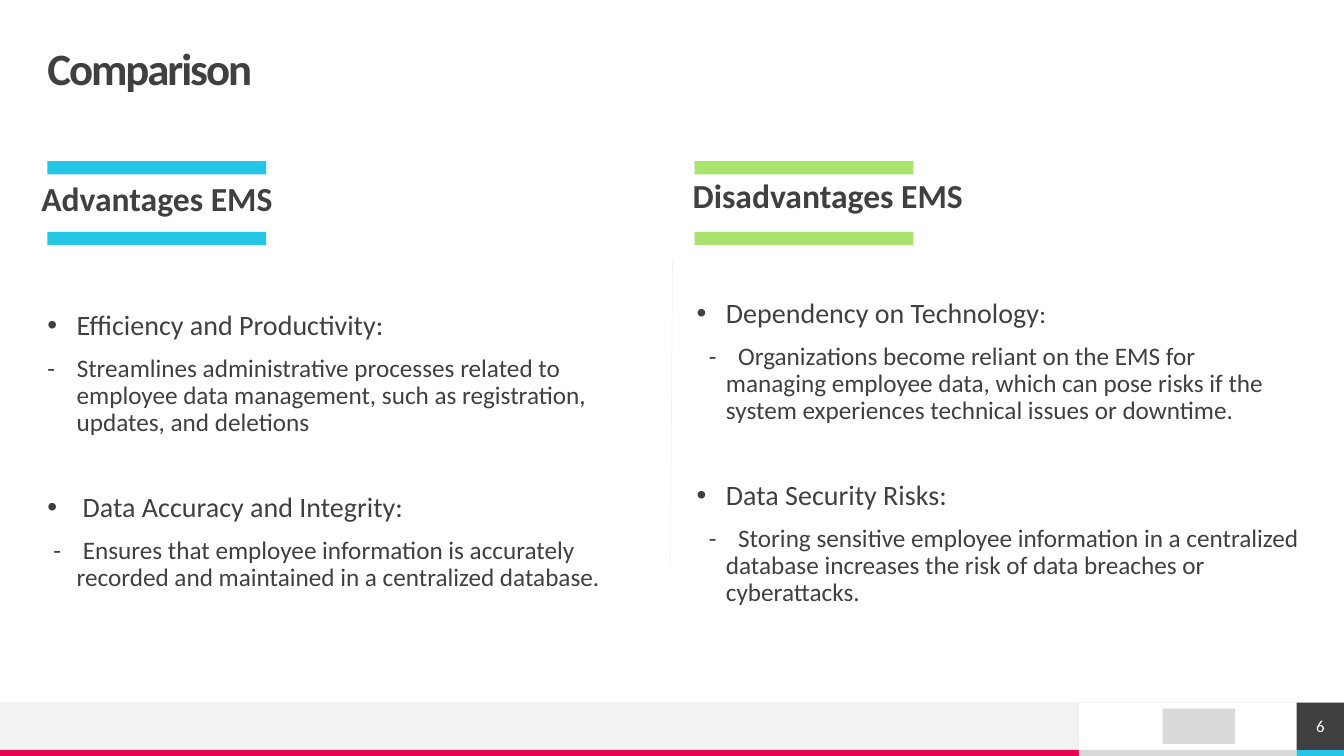
from pptx import Presentation, util as u
from pptx.dml.color import RGBColor
from pptx.enum import shapes, text
from pptx.oxml import parse_xml
from pptx.oxml.ns import nsdecls

CYAN = RGBColor(0x25, 0xC6, 0xE3)
GREEN = RGBColor(0xA9, 0xE2, 0x6F)
PINK = RGBColor(0xE8, 0x05, 0x54)
DARK = RGBColor(0x40, 0x40, 0x40)
PALE = RGBColor(0xF2, 0xF2, 0xF2)
GREY = RGBColor(0xDA, 0xDA, 0xDA)
WHITE = RGBColor(0xFF, 0xFF, 0xFF)

WIDTH, HEIGHT = 13.33, 7.5
MARGIN = 0.47
COLUMN_W = 5.98
INDENT = 0.29
DASH_SPACING = 5.7

# Each point: heading runs (text, size), space before, heading start,
# then its detail and where the dash starts
ADVANTAGES = [
    ([("Efficiency and Productivity:", 20)], 0, 0.29,
     "Streamlines administrative processes related to employee data management, "
     "such as registration, updates, and deletions", 0),
    ([("Data Accuracy and Integrity:", 20)], 40, 0.35,
     "Ensures that employee information is accurately recorded and maintained "
     "in a centralized database.", 0.06),
]
DISADVANTAGES = [
    ([("Dependency on Technology", 20), (":", 18)], 0, 0.29,
     "Organizations become reliant on the EMS for managing employee data, "
     "which can pose risks if the system experiences technical issues or downtime.",
     0.12),
    ([("Data Security Risks:", 20)], 40, 0.29,
     "Storing sensitive employee information in a centralized database increases "
     "the risk of data breaches or cyberattacks.", 0.12),
]


def add_bar(s, x, y, w, h, color):
    sp = s.shapes.add_shape(shapes.MSO_SHAPE.RECTANGLE, *map(u.Inches, (x, y, w, h)))
    sp.shadow.inherit = False
    sp.fill.solid()
    sp.fill.fore_color.rgb = color
    sp.line.fill.background()
    return sp


def add_hairline(s, x1, y1, x2, y2):
    line = s.shapes.add_connector(shapes.MSO_CONNECTOR.STRAIGHT,
                                  *map(u.Inches, (x1, y1, x2, y2)))
    line.line.color.rgb = PALE
    line.line.width = u.Pt(0.5)
    line._element.spPr.append(parse_xml(f"<a:effectLst {nsdecls('a')}/>"))


def set_frame(sp, anchor):
    tf = sp.text_frame
    tf.word_wrap = True
    tf.vertical_anchor = anchor
    tf.margin_left = tf.margin_top = tf.margin_right = tf.margin_bottom = 0
    return tf


def add_text(s, x, y, w, h, anchor=text.MSO_ANCHOR.TOP):
    return set_frame(s.shapes.add_textbox(*map(u.Inches, (x, y, w, h))), anchor)


def add_run(p, words, size, color=DARK, bold=False, spacing=0):
    r = p.add_run()
    r.text = words
    r.font.name = "Calibri"
    r.font.size = u.Pt(size)
    r.font.bold = bold
    r.font.color.rgb = color
    if spacing:
        r._r.get_or_add_rPr().set("spc", str(round(spacing * 100)))


def set_indent(p, first, rest, bullet=False):
    """Start the first line at `first` and the following lines at `rest`."""
    pPr = p._p.get_or_add_pPr()
    pPr.set("marL", str(u.Inches(rest)))
    pPr.set("indent", str(u.Inches(first - rest)))
    if bullet:
        pPr.append(parse_xml(f'<a:buFont {nsdecls("a")} typeface="Arial"/>'))
        pPr.append(parse_xml(f'<a:buChar {nsdecls("a")} char="•"/>'))
    else:
        pPr.append(parse_xml(f'<a:buNone {nsdecls("a")}/>'))


def add_title(s, x, y, w, h):
    p = add_text(s, x, y, w, h, text.MSO_ANCHOR.MIDDLE).paragraphs[0]
    p.line_spacing = 0.9
    add_run(p, "Comparison", 32, bold=True, spacing=-1.5)


def add_heading(s, x, y, words, bar_x, color):
    for bar_y in (1.6, 2.3):
        add_bar(s, bar_x, bar_y, 2.17, 0.13, color)
    p = add_text(s, x, y, COLUMN_W, 0.39).paragraphs[0]
    p.line_spacing = 0.9
    add_run(p, words, 24, bold=True)


def add_points(s, x, y, points):
    tf = add_text(s, x, y, COLUMN_W, 3.28)
    for i, (heading, before, start, detail, dash) in enumerate(points):
        p = tf.add_paragraph() if i else tf.paragraphs[0]
        p.line_spacing, p.space_before = 0.9, u.Pt(before)
        set_indent(p, 0, start, bullet=True)
        for words, size in heading:
            add_run(p, words, size)
        p = tf.add_paragraph()
        p.line_spacing, p.space_before = 0.9, u.Pt(10)
        set_indent(p, dash, INDENT)
        add_run(p, "- ", 18, spacing=DASH_SPACING)
        add_run(p, detail, 18)


def add_footer(s, y, h):
    number_w, strip = 0.47, 0.06
    number_x = WIDTH - number_w
    panel_x, band_h = 10.7, h - strip
    strip_y = y + band_h
    # Bands
    add_bar(s, 0, y, panel_x, band_h, PALE)
    for x, right, color in ((0, panel_x, PINK), (panel_x, number_x, GREY),
                            (number_x, WIDTH, CYAN)):
        add_bar(s, x, strip_y, right - x, strip, color)
    add_hairline(s, WIDTH, y, 0, y)
    # Plain block in the white panel
    add_bar(s, 11.53, y + 0.06, 0.72, band_h - 0.12, GREY)
    # Slide number
    box = add_bar(s, number_x, y, number_w, band_h, DARK)
    p = set_frame(box, text.MSO_ANCHOR.MIDDLE).paragraphs[0]
    p.alignment = text.PP_ALIGN.CENTER
    add_run(p, "6", 12, WHITE)


def main():
    prs = Presentation()
    prs.slide_width, prs.slide_height = u.Inches(WIDTH), u.Inches(HEIGHT)
    s = prs.slides.add_slide(prs.slide_layouts[6])
    add_footer(s, 6.97, HEIGHT - 6.97)
    add_title(s, MARGIN, MARGIN, 12.4, 0.47)
    # Left column
    add_heading(s, 0.41, 1.81, "Advantages EMS", MARGIN, CYAN)
    add_points(s, MARGIN, 3.09, ADVANTAGES)
    # Right column
    add_heading(s, 6.87, 1.78, "Disadvantages EMS", 6.89, GREEN)
    add_points(s, 6.91, 2.97, DISADVANTAGES)
    add_hairline(s, 6.67, 2.58, 6.65, 5.6)
    prs.save("out.pptx")


if __name__ == "__main__":
    main()
